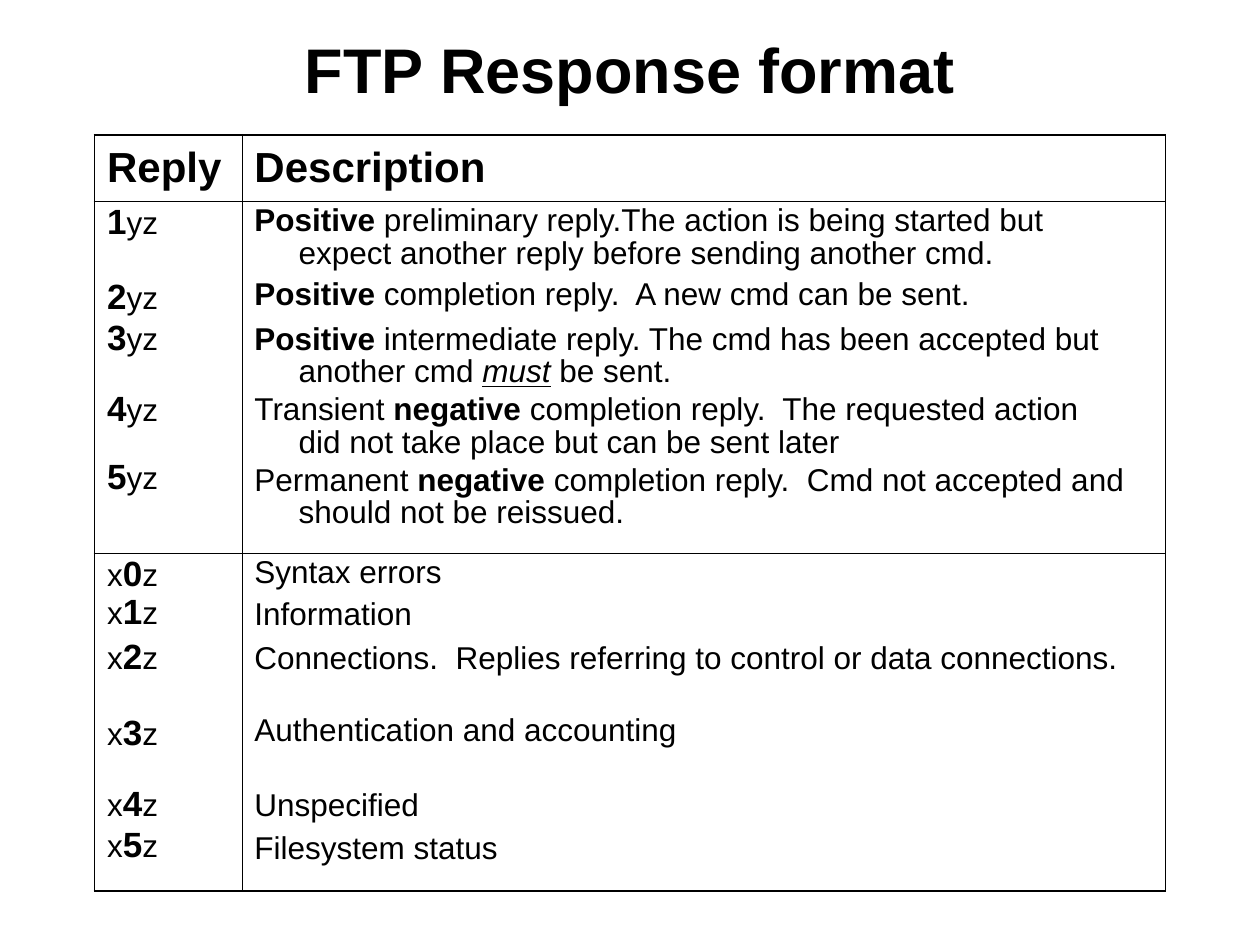
from typing import NamedTuple

from lxml import etree
from pptx import Presentation, util as u
from pptx.dml.color import RGBColor
from pptx.enum import text
from pptx.oxml import ns

FONT = "Arial"
BLACK = "000000"
THIN, THICK = 0.45, 1.08
INDENT = 0.35


class Run(NamedTuple):
    text: str
    bold: bool = False
    size: float = 0
    emphasis: bool = False


class Line(NamedTuple):
    runs: list[Run]
    spacing: float = 1.0
    before: float = 4.5
    indent: float = 0


def rgb(color: str) -> RGBColor:
    return RGBColor.from_string(color)


def code(reply: str, spacing: float = 1.0) -> Line:
    """A reply code whose digit is bold and larger than its letters."""
    return Line([Run(c, True, 20) if c.isdigit() else Run(c) for c in reply], spacing)


def more(*runs: Run) -> Line:
    """The indented second line of a description."""
    return Line(list(runs), 0.65, indent=INDENT)


def plain(words: str, spacing: float = 1.0, before: float = 4.5) -> Line:
    return Line([Run(words)], spacing, before)


def write(tf, lines: list[Line], size: float, bold: bool = False) -> None:
    for i, line in enumerate(lines):
        p = tf.add_paragraph() if i else tf.paragraphs[0]
        if line.indent:
            p._p.get_or_add_pPr().set("marL", str(u.Inches(line.indent)))
        p.line_spacing = line.spacing
        p.space_before = u.Pt(line.before if i else 0)
        p.font.name, p.font.size, p.font.bold = FONT, u.Pt(size), bold
        p.font.color.rgb = rgb(BLACK)
        for run in line.runs:
            r = p.add_run()
            r.text = run.text
            if run.bold:
                r.font.bold = True
            if run.size:
                r.font.size = u.Pt(run.size)
            if run.emphasis:
                r.font.italic = r.font.underline = True


def set_borders(cell, widths: dict[str, float]) -> None:
    tcPr = cell._tc.get_or_add_tcPr()
    for side, width in widths.items():
        ln = etree.SubElement(tcPr, ns.qn(f"a:ln{side}"), w=str(u.Pt(width)))
        fill = etree.SubElement(ln, ns.qn("a:solidFill"))
        etree.SubElement(fill, ns.qn("a:srgbClr"), val=BLACK)


HEADINGS = ["Reply", "Description"]
POSITIVE, NEGATIVE = Run("Positive", True), Run("negative", True)

# First digit: outcome of the command
FIRST_DIGIT = [
    [code("1yz", 0.85), code("2yz", 1.75), code("3yz", 0.8),
     code("4yz", 1.65), code("5yz", 1.55)],
    [
        Line([POSITIVE, Run(" preliminary reply.The action is being started but")], 0.85),
        more(Run("expect another reply before sending another cmd.")),
        Line([POSITIVE, Run(" completion reply.  A new cmd can be sent.")]),
        Line([POSITIVE, Run(" intermediate reply. The cmd has been accepted but")], 1.05),
        more(Run("another cmd "), Run("must", emphasis=True), Run(" be sent.")),
        Line([Run("Transient "), NEGATIVE,
              Run(" completion reply.  The requested action")], 0.9),
        more(Run("did not take place but can be sent later")),
        Line([Run("Permanent "), NEGATIVE,
              Run(" completion reply.  Cmd not accepted and")], 0.9),
        more(Run("should not be reissued.")),
    ],
]

# Second digit: subject of the reply
SECOND_DIGIT = [
    [code("x0z", 0.85), code("x1z", 0.75), code("x2z"),
     code("x3z", 1.75), code("x4z", 1.6), code("x5z", 0.85)],
    [
        plain("Syntax errors", 0.85),
        plain("Information"),
        plain("Connections.  Replies referring to control or data connections."),
        plain("Authentication and accounting", before=21.3),
        plain("Unspecified", before=22.5),
        plain("Filesystem status"),
    ],
]

prs = Presentation()
prs.slide_width, prs.slide_height = u.Inches(10), u.Inches(7.5)
s = prs.slides.add_slide(prs.slide_layouts[6])

# Title
sp = s.shapes.add_textbox(u.Inches(0.75), u.Inches(-0.08), u.Inches(8.5), u.Inches(1.25))
tf = sp.text_frame
tf.word_wrap = True
tf.vertical_anchor = text.MSO_ANCHOR.MIDDLE
write(tf, [plain("FTP Response format")], 36, bold=True)
tf.paragraphs[0].alignment = text.PP_ALIGN.CENTER

# Reply table
rows = [[[plain(h)] for h in HEADINGS], FIRST_DIGIT, SECOND_DIGIT]
widths, heights = [1.17, 7.33], [0.53, 2.79, 2.68]
table = s.shapes.add_table(len(rows), len(widths), u.Inches(0.75), u.Inches(1.07),
                           u.Inches(sum(widths)), u.Inches(sum(heights))).table
table.first_row = table.horz_banding = False
for column, width in zip(table.columns, widths):
    column.width = u.Inches(width)
for row, height in zip(table.rows, heights):
    row.height = u.Inches(height)

for i, row in enumerate(rows):
    for j, lines in enumerate(row):
        cell = table.cell(i, j)
        header = i == 0
        outer = {"L": j == 0, "R": j == len(widths) - 1,
                 "T": header, "B": i == len(rows) - 1}
        set_borders(cell, {side: THICK if edge else THIN for side, edge in outer.items()})
        cell.fill.background()
        cell.vertical_anchor = text.MSO_ANCHOR.MIDDLE if header else text.MSO_ANCHOR.TOP
        write(cell.text_frame, lines, 24 if header else 18, bold=header)

prs.save("out.pptx")
